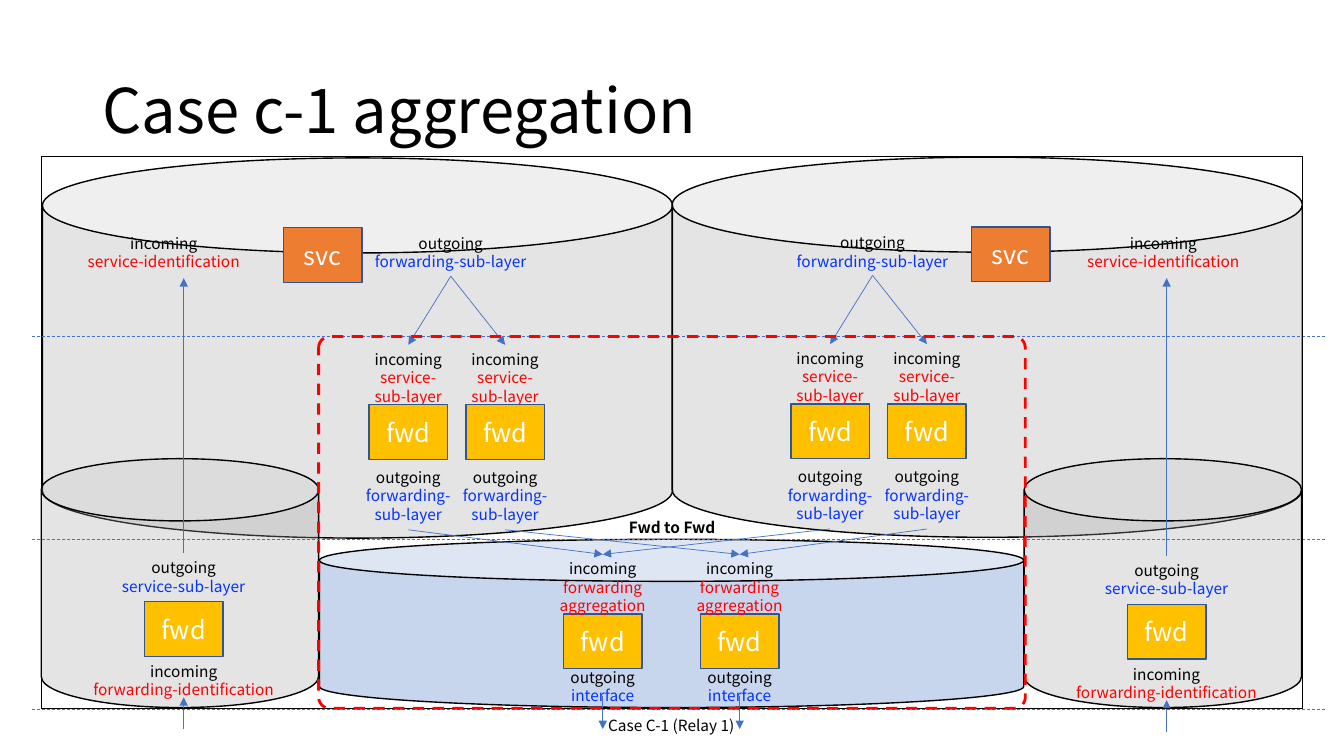
from lxml import etree
from pptx import Presentation
from pptx.dml.color import RGBColor
from pptx.enum.dml import MSO_LINE
from pptx.enum.shapes import MSO_CONNECTOR, MSO_SHAPE
from pptx.enum.text import MSO_ANCHOR, MSO_AUTO_SIZE, PP_ALIGN
from pptx.oxml.ns import qn
from pptx.util import Cm, Pt

CAN, RECT, ROUND = MSO_SHAPE.CAN, MSO_SHAPE.RECTANGLE, MSO_SHAPE.ROUNDED_RECTANGLE
LINE, DASH = MSO_CONNECTOR.STRAIGHT, MSO_LINE.DASH
LEFT, MID = PP_ALIGN.LEFT, PP_ALIGN.CENTER
TOP, CENTER = MSO_ANCHOR.TOP, MSO_ANCHOR.MIDDLE
FIXED = MSO_AUTO_SIZE.NONE

BLACK = RGBColor(0x00, 0x00, 0x00)
WHITE = RGBColor(0xFF, 0xFF, 0xFF)
GRAY = RGBColor(0xA5, 0xA5, 0xA5)
BLUE = RGBColor(0x44, 0x72, 0xC4)
NAVY = RGBColor(0x32, 0x54, 0x91)
INK = RGBColor(0x04, 0x32, 0xFF)
RED = RGBColor(0xFF, 0x00, 0x00)
GOLD = RGBColor(0xFF, 0xC0, 0x00)
ORANGE = RGBColor(0xED, 0x7D, 0x31)

FONT = "Noto Sans CJK KR"
NODE_W, NODE_H = 1.98, 1.38


def write(shape, text, size=11, color=BLACK, tint=None, bold=False,
          align=MID, anchor=TOP, space=None):
    frame = shape.text_frame
    frame.word_wrap = True
    frame.auto_size = FIXED
    frame.vertical_anchor = anchor
    frame.text = text
    for i, para in enumerate(frame.paragraphs):
        para.alignment = align
        para.line_spacing = space
        font = para.runs[0].font
        font.name, font.size, font.bold = FONT, Pt(size), bold
        font.color.rgb = tint if tint and i else color


def label(slide, mid, y, text, width=5.2, **form):
    rows = text.count("\n") + 2
    box = slide.shapes.add_textbox(Cm(mid - width / 2), Cm(y), Cm(width), Cm(0.25 + rows * 0.47))
    write(box, text, space=Pt(13.2), **form)


def draw(slide, kind, x, y, w, h, fill=None, alpha=None, line=BLACK, width=1):
    shape = slide.shapes.add_shape(kind, Cm(x), Cm(y), Cm(w), Cm(h))
    shape.shadow.inherit = False
    shape.line.color.rgb = line
    shape.line.width = Pt(width)
    if fill is None:
        shape.fill.background()
    else:
        shape.fill.solid()
        shape.fill.fore_color.rgb = fill
    if alpha:
        tone = shape.fill._xPr.find(".//" + qn("a:srgbClr"))
        etree.SubElement(tone, qn("a:alpha"), val=str(alpha * 1000))
    return shape


def link(slide, x1, y1, x2, y2, arrow=True):
    line = slide.shapes.add_connector(LINE, Cm(x1), Cm(y1), Cm(x2), Cm(y2))
    line.line.color.rgb = BLUE
    line.line.width = Pt(0.5)
    if arrow:
        etree.SubElement(line.line._get_or_add_ln(), qn("a:tailEnd"), type="triangle")
    else:
        line.line.dash_style = DASH
    etree.SubElement(line._element.spPr, qn("a:effectLst"))


def node(slide, mid, y, text="fwd", fill=GOLD):
    shape = draw(slide, RECT, mid - NODE_W / 2, y, NODE_W, NODE_H, fill, line=NAVY)
    write(shape, text, size=18, color=WHITE, anchor=CENTER)


def half(slide, x, y, w, h, svc, hub):
    draw(slide, CAN, x, y, w, h, GRAY, 29)
    node(slide, x + svc, y + 1.76, "svc", ORANGE)
    label(slide, x + hub, y + 1.79, "outgoing\nforwarding-sub-layer", tint=INK)
    ports = []
    for shift in (-1.07, 1.37):
        mid = x + hub + shift
        link(slide, x + hub, y + 2.98, mid, y + 4.71)
        label(slide, mid, y + 4.71, "incoming\nservice-sub-layer", 2.62, tint=RED)
        node(slide, mid, y + 6.22)
        label(slide, mid, y + 7.69, "outgoing\nforwarding-sub-layer", 2.74, tint=INK)
        ports.append((mid, y + 9.37))
    return ports


def edge(slide, x, y, w, h, mid, low, top):
    draw(slide, CAN, x, y, w, h, GRAY, 29)
    label(slide, top, 5.77, "incoming\nservice-identification", tint=RED)
    link(slide, mid, low, mid, 7.01)
    label(slide, mid, low, "outgoing\nservice-sub-layer", tint=INK)
    node(slide, mid, low + 1.22)
    label(slide, mid, low + 2.62, "incoming\nforwarding-identification", tint=RED)
    link(slide, mid, low + 4.44, mid, low + 3.63)


def relay(slide, x, y, w, h):
    draw(slide, CAN, x, y, w, h, BLUE, 29)
    ports = []
    for shift in (7.14, 10.59):
        mid = x + shift
        node(slide, mid, y + 1.88)
        label(slide, mid, y + 0.38, "incoming\nforwarding\naggregation", 2.9, tint=RED)
        label(slide, mid, y + 3.12, "outgoing\ninterface", 2.5, tint=INK)
        link(slide, mid, y + 3.96, mid, y + 4.78)
        ports.append((mid, y + 0.38))
    return ports


def head(slide, x, y, w, h):
    title = slide.shapes.title
    title.left, title.top, title.width, title.height = Cm(x), Cm(y), Cm(w), Cm(h)
    write(title, "Case c-1 aggregation", size=44, align=LEFT, anchor=CENTER, space=0.9)


def main():
    deck = Presentation()
    deck.slide_width, deck.slide_height = Cm(33.87), Cm(19.05)
    slide = deck.slides.add_slide(deck.slide_layouts[5])
    head(slide, 2.33, 1.01, 29.21, 3.68)
    halves = [half(slide, 1.07, 3.98, 15.88, 9.58, 7.06, 10.29),
              half(slide, 16.94, 3.96, 15.88, 9.58, 8.53, 5.05)]
    edge(slide, 1.04, 11.56, 6.99, 6.27, 4.63, 13.94, 4.13)
    edge(slide, 25.81, 11.56, 6.99, 6.27, 29.4, 14.01, 29.32)
    goals = relay(slide, 8.05, 13.59, 17.75, 4.24)
    for y in (8.48, 13.59, 17.88):
        link(slide, 0.81, y, 33.4, y, arrow=False)
    draw(slide, RECT, 1.04, 3.94, 31.78, 13.92)
    for ports in halves:
        for start, goal in zip(ports, goals):
            link(slide, *start, *goal)
    label(slide, 16.94, 12.93, "Fwd to Fwd", bold=True)
    label(slide, 16.92, 17.93, "Case C-1 (Relay 1)")
    zone = draw(slide, ROUND, 8.03, 8.48, 17.81, 9.37, line=RED, width=2)
    zone.adjustments[0] = 0.03
    zone.line.dash_style = DASH
    deck.save("out.pptx")


if __name__ == "__main__":
    main()
